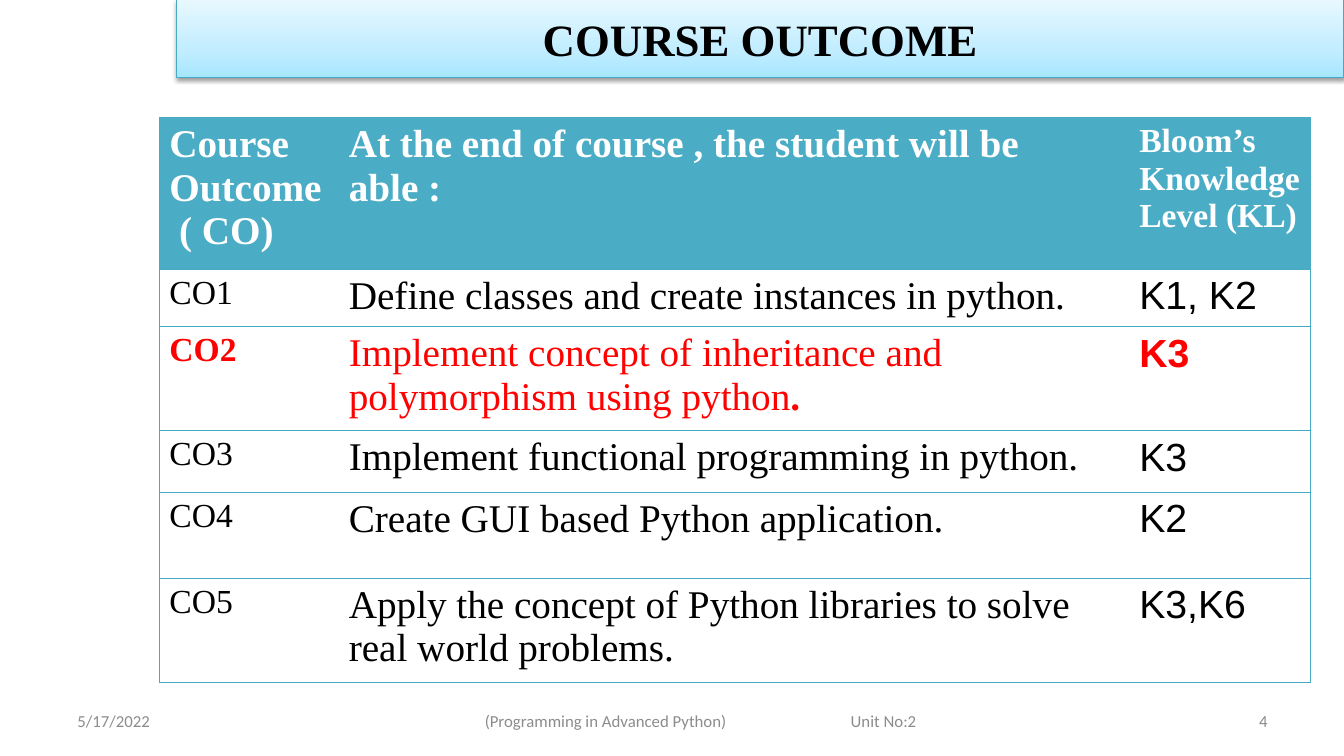
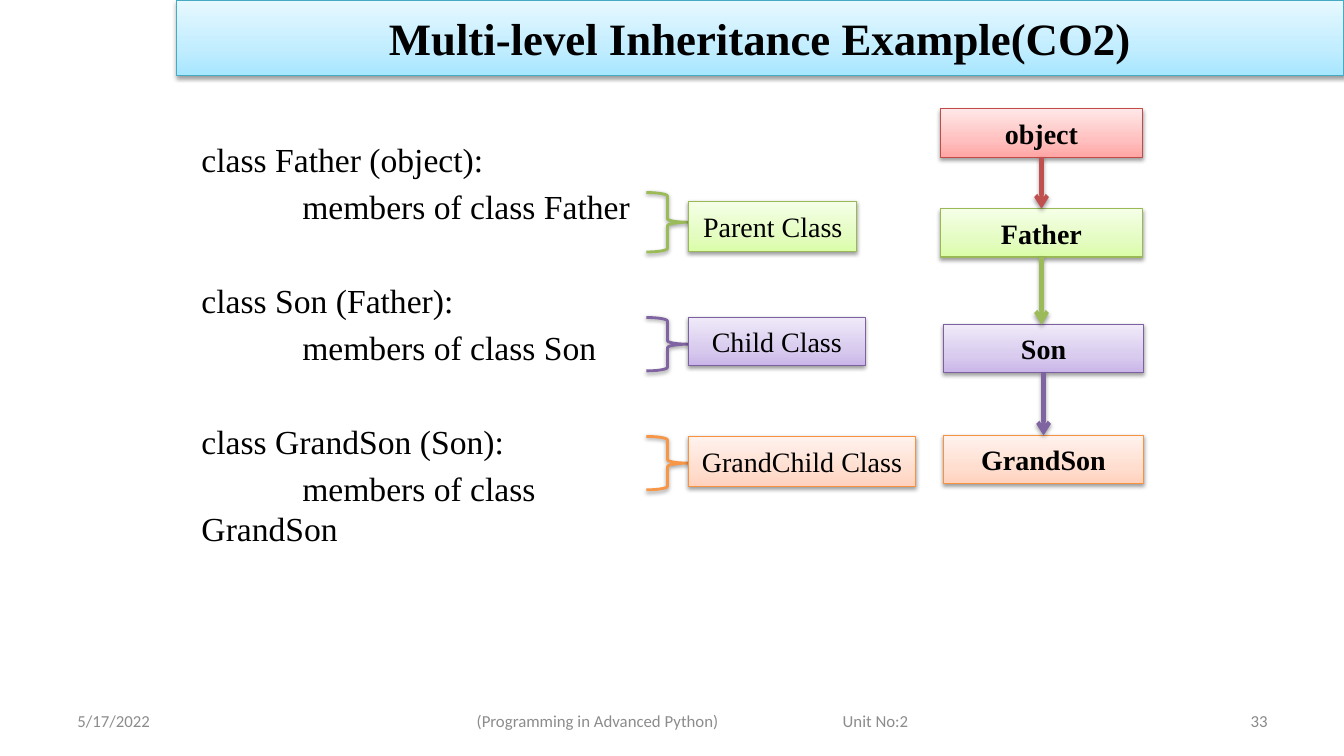
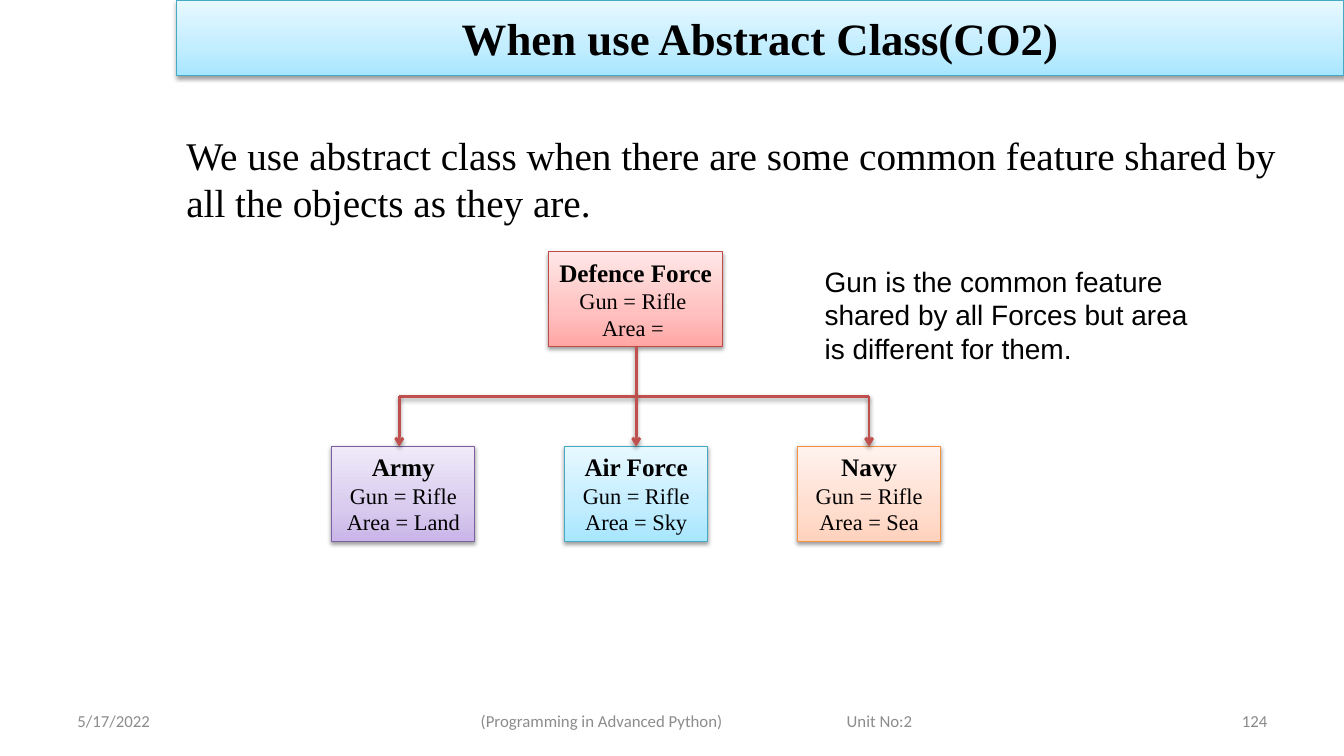
from pptx import Presentation, oxml, util as u
from pptx.dml.color import RGBColor
from pptx.enum import shapes, text
from pptx.oxml import ns

Inches, Pt = u.Inches, u.Pt
SERIF, SANS, SMALL = "Times New Roman", "Arial", "Calibri"
COLOURS = {
    "ink": "000000", "white": "FFFFFF", "highlight": "FF0000",
    "date": "8C8C8C", "number": "898989", "header": "4BACC6", "rule": "46AAC5",
}
# Per tone: gradient from bottom to top, outline, connector colour
TONES = {
    "aqua": {"stops": ("A7E6FF", "C1EDFF", "E7F8FF"), "edge": "46AAC5", "line": "4BACC6"},
    "red": {"stops": ("FFA6A5", "FFC0BF", "FFE7E7"), "edge": "BF4C48", "line": "C0504D"},
    "green": {"stops": ("DAFDA7", "E4FCC2", "F5FFE7"), "edge": "98B955", "line": "9BBB59"},
    "purple": {"stops": ("C9B5E8", "D8CBEE", "F0EAF9"), "edge": "7D60A0", "line": "8064A2"},
    "orange": {"stops": ("FFD2BD", "FFDED0", "FFF2ED"), "edge": "F69240", "line": "F79646"},
}
LEFT, CENTER, RIGHT = (text.PP_ALIGN.LEFT, text.PP_ALIGN.CENTER, text.PP_ALIGN.RIGHT)
MIDDLE, TOP = text.MSO_ANCHOR.MIDDLE, text.MSO_ANCHOR.TOP


# Shared helpers
def add_xml(parent, tag, body="", attrs=""):
    node = oxml.parse_xml(f"<a:{tag} {ns.nsdecls('a')} {attrs}>{body}</a:{tag}>")
    parent.append(node)
    return node


def solid(colour):
    return f'<a:solidFill><a:srgbClr val="{colour}"/></a:solidFill>'


def add_shadow(item):
    add_xml(item._element.spPr, "effectLst",
            '<a:outerShdw blurRad="39370" dist="20320" dir="5400000" rotWithShape="0">'
            '<a:srgbClr val="000000"><a:alpha val="38000"/></a:srgbClr></a:outerShdw>')


def set_outline(item, colour, width):
    item.line.color.rgb = RGBColor.from_string(colour)
    item.line.width = Pt(width)


def add_span(para, words, size, font=SERIF, colour="ink", bold=False):
    span = para.add_run()
    span.text = words
    formats = {"size": Pt(size), "name": font, "bold": bold}
    for name, value in formats.items():
        setattr(span.font, name, value)
    span.font.color.rgb = RGBColor.from_string(COLOURS[colour])


def next_para(frame, index, **formats):
    para = frame.paragraphs[0] if index == 0 else frame.add_paragraph()
    for name, value in formats.items():
        setattr(para, name, value)
    return para


def text_box(page, box, anchor=TOP):
    frame = page.shapes.add_textbox(*map(Inches, box)).text_frame
    frame.word_wrap = True
    frame.vertical_anchor = anchor
    return frame


def gradient_box(page, box, tone):
    shape = page.shapes.add_shape(shapes.MSO_SHAPE.RECTANGLE, *map(Inches, box))
    stops = "".join(f'<a:gs pos="{pos}"><a:srgbClr val="{colour}"/></a:gs>'
                    for pos, colour in zip((0, 35000, 100000), TONES[tone]["stops"]))
    add_xml(shape._element.spPr, "gradFill",
            f'<a:gsLst>{stops}</a:gsLst><a:lin ang="16200000" scaled="0"/>')
    set_outline(shape, TONES[tone]["edge"], 0.75)
    add_shadow(shape)
    return shape.text_frame


def label_box(page, box, tone, words, size=20, bold=False):
    frame = gradient_box(page, box, tone)
    frame.vertical_anchor = MIDDLE
    add_span(next_para(frame, 0, alignment=CENTER), words, size, bold=bold)


def add_line(page, start, end, tone, width, arrow=False):
    line = page.shapes.add_connector(shapes.MSO_CONNECTOR.STRAIGHT,
                                     *map(Inches, (*start, *end)))
    set_outline(line, TONES[tone]["line"], width)
    if arrow:
        add_xml(line._element.spPr.get_or_add_ln(), "tailEnd", attrs='type="arrow"')
    add_shadow(line)


def add_page(deck, title, number, course_left, band_height=0.75):
    page = deck.slides.add_slide(deck.slide_layouts[6])
    label_box(page, (1.75, 0, 11.58, band_height), "aqua", title, 32, True)
    # Footer: date, course with unit, page number
    footers = [(0.67, 3.11, "5/17/2022", LEFT, "date"),
               (course_left, 4.8, "(Programming in Advanced Python)\tUnit No:2", LEFT, "date"),
               (9.56, 3.11, number, RIGHT, "number")]
    for left, width, words, align, colour in footers:
        frame = text_box(page, (left, 6.95, width, 0.4), MIDDLE)
        para = next_para(frame, 0, alignment=align)
        if "\t" in words:
            add_xml(para._p.get_or_add_pPr(), "tabLst",
                    f'<a:tab pos="{Inches(3.63)}" algn="l"/>')
        add_span(para, words, 12, SMALL, colour)
    return page


# Outcome table
def fill_cell(cell, paras, edges, fill=None):
    properties = cell._tc.get_or_add_tcPr()
    for edge in "LRTB":
        stroke = solid(COLOURS["rule"]) if edge in edges else "<a:noFill/>"
        add_xml(properties, f"ln{edge}", stroke, 'w="9525"')
    if fill:
        cell.fill.solid()
        cell.fill.fore_color.rgb = RGBColor.from_string(COLOURS[fill])
    else:
        cell.fill.background()
    for index, spans in enumerate(paras):
        para = next_para(cell.text_frame, index)
        for words, formats in spans:
            add_span(para, words, **formats)


def outcome_table(page, box):
    widths = (1.78, 7.84, 1.8)
    heights = (1.5, 0.57, 1.03, 0.61, 0.85, 1.03)
    head = {"size": 28, "colour": "white", "bold": True}
    rows = [[[[("Course Outcome", head)], [(" ( CO)", head)]],
             [[("At the end of course , the student will be able :", head)]],
             [[("Bloom’s Knowledge Level (KL)", {**head, "size": 24})]]]]
    outcomes = [
        ("Define classes and create instances in python.", "K1, K2"),
        ("Implement concept of inheritance and polymorphism using python", "K3"),
        ("Implement functional programming in python.", "K3"),
        ("Create GUI based Python application.", "K2"),
        ("Apply the concept of Python libraries to solve real world problems.", "K3,K6"),
    ]
    for number, (goal, level) in enumerate(outcomes, 1):
        current = number == 2
        colour = "highlight" if current else "ink"
        strong = {"colour": colour, "bold": current}
        goal_spans = [(goal, {"size": 28, "colour": colour})]
        if current:
            goal_spans.append((".", {"size": 28, **strong}))
        rows.append([[[(f"CO{number}", {"size": 24, **strong})]], [goal_spans],
                     [[(level, {"size": 28, "font": SANS, **strong})]]])

    table = page.shapes.add_table(len(rows), len(widths), *map(Inches, box)).table
    for column, width in zip(table.columns, widths):
        column.width = Inches(width)
    for row, height in zip(table.rows, heights):
        row.height = Inches(height)
    column_edges = ("LTB", "TB", "RTB")
    for r, cells in enumerate(rows):
        for c, paras in enumerate(cells):
            fill_cell(table.cell(r, c), paras, column_edges[c], "header" if r == 0 else None)


# Class code, braces and tree
def class_code(page, box):
    frame = text_box(page, box)
    classes = [("Father", "object"), ("Son", "Father"), ("GrandSon", "Son")]
    for index, (name, parent) in enumerate(classes):
        heading = next_para(frame, index, line_spacing=Pt(28.8))
        if index:
            heading.space_before = Pt(38.2)
        add_span(heading, f"class {name} ({parent}):", 24)
        member = next_para(frame, 1, line_spacing=Pt(28.8), space_before=Pt(4.8))
        member._p.get_or_add_pPr().set("indent", str(Inches(1)))
        add_span(member, f"members of class {name}", 24)


def class_labels(page, left, top):
    # Brace offset and height, label offset, width and height
    labels = [("Parent Class", "green", 0, 0.59, 0.09, 1.67, 0.5),
              ("Child Class", "purple", 1.24, 0.53, 1.24, 1.75, 0.48),
              ("GrandChild Class", "orange", 2.42, 0.53, 2.42, 2.25, 0.5)]
    for words, tone, brace_top, brace_height, label_top, width, height in labels:
        brace = page.shapes.add_shape(
            shapes.MSO_SHAPE.RIGHT_BRACE,
            *map(Inches, (left, top + brace_top, 0.42, brace_height)))
        brace.fill.background()
        set_outline(brace, TONES[tone]["line"], 2)
        add_shadow(brace)
        label_box(page, (left + 0.42, top + label_top, width, height), tone, words)


def class_tree(page, left, top):
    height = 0.48
    nodes = [("object", "red", 0, 0, 2), ("Father", "green", 0, 0.99, 2),
             ("Son", "purple", 0.03, 2.14, 1.98), ("GrandSon", "orange", 0.03, 3.24, 1.98)]
    for words, tone, dx, dy, width in nodes:
        label_box(page, (left + dx, top + dy, width, height), tone, words, bold=True)
    for (_, tone, dx, dy, width), below in zip(nodes, nodes[1:]):
        x = left + dx + width / 2
        add_line(page, (x, top + dy + height), (x, top + below[3]), tone, 3, True)


# Abstract class text and force tree
def plain_text(page, box, lines, size, font):
    frame = text_box(page, box)
    for index, words in enumerate(lines):
        add_span(next_para(frame, index, line_spacing=Pt(1.2 * size)), words, size, font)


def force_box(page, box, tone, name, facts):
    frame = gradient_box(page, box, tone)
    frame.word_wrap = False
    frame.vertical_anchor = TOP
    for index, words in enumerate((name, *facts)):
        size = 16 if index else 18
        para = next_para(frame, index, alignment=CENTER, line_spacing=Pt(1.2 * size))
        add_span(para, words, size, bold=index == 0)


def force_tree(page, left, top):
    height, bar, lower = 0.94, top + 1.43, top + 1.93
    ends = [left + x for x in (0.67, 3.02, 5.33)]
    force_box(page, (left + 2.15, top, 1.73, height), "red",
              "Defence Force", ("Gun = Rifle ", "Area = "))
    add_line(page, (ends[1], top + height), (ends[1], bar), "red", 2)
    add_line(page, (ends[0], bar), (ends[2], bar), "red", 2)
    forces = [("Army", "Land", "purple"), ("Air Force", "Sky", "aqua"), ("Navy", "Sea", "orange")]
    for index, (name, area, tone) in enumerate(forces):
        force_box(page, (left + index * 2.31, lower, 1.42, height), tone,
                  name, ("Gun = Rifle", f"Area = {area}"))
        add_line(page, (ends[index], bar), (ends[index], lower), "red", 2, True)


def main():
    deck = Presentation()
    deck.slide_width, deck.slide_height = Inches(13.33), Inches(7.5)

    page = add_page(deck, "COURSE OUTCOME", "4", 4.71, 0.77)
    outcome_table(page, (1.58, 1.17, 11.42, 5.6))

    page = add_page(deck, "Multi-level Inheritance Example(CO2)", "33", 4.63)
    class_code(page, (1.9, 1.33, 4.51, 3.77))
    class_labels(page, 6.41, 1.91)
    class_tree(page, 9.33, 1.08)

    page = add_page(deck, "When use Abstract Class(CO2)", "124", 4.67)
    plain_text(page, (1.75, 1.25, 11.17, 2.17),
               ["We use abstract class when there are some common feature shared by "
                "all the objects as they are."], 28, SERIF)
    force_tree(page, 3.29, 2.5)
    plain_text(page, (8.08, 2.57, 4.83, 1.11),
               ["Gun is the common feature", "shared by all Forces but area",
                "is different for them."], 20, SANS)
    deck.save("out.pptx")


if __name__ == "__main__":
    main()
